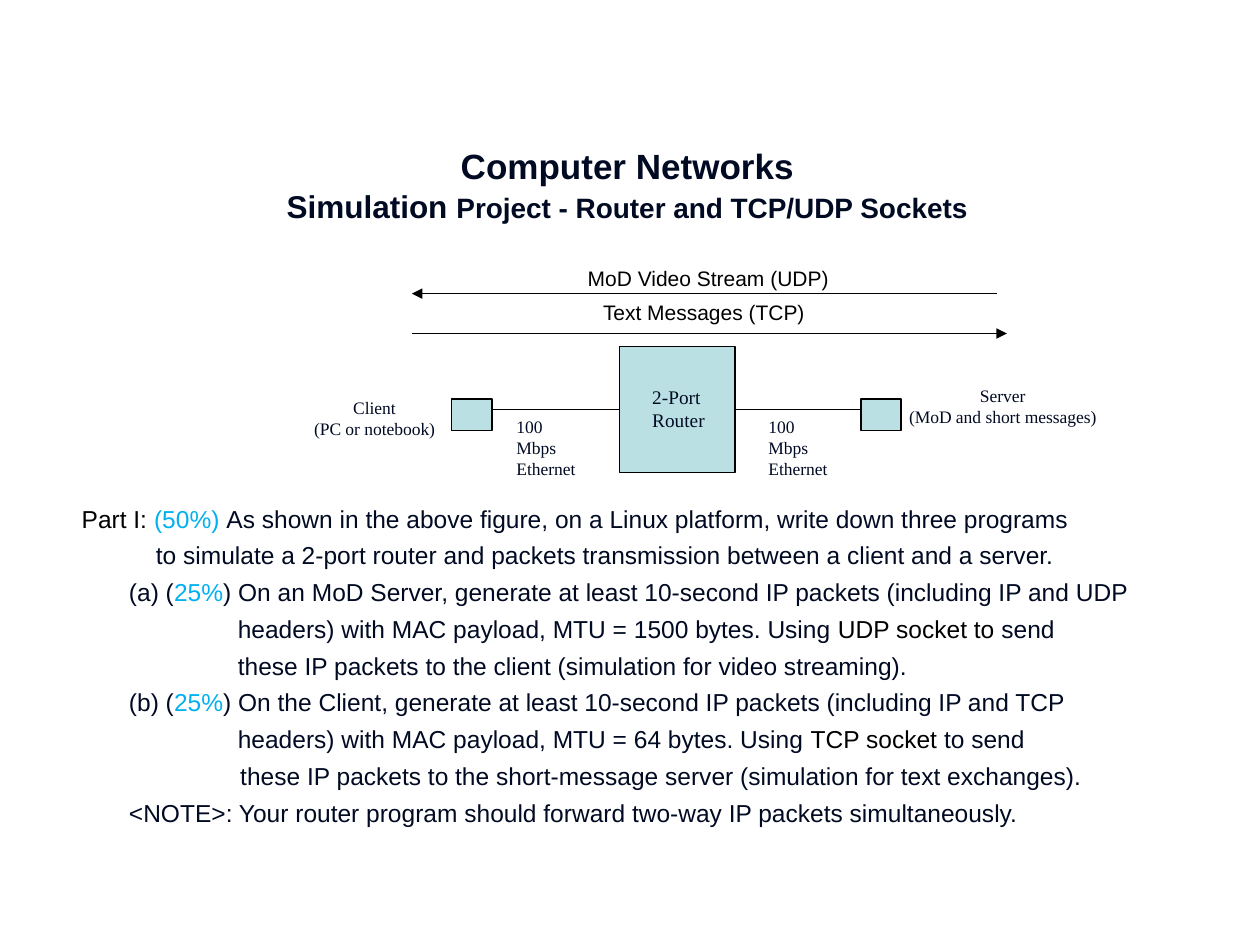
from dataclasses import dataclass

from lxml.etree import SubElement
from pptx import Presentation
from pptx.dml.color import RGBColor
from pptx.enum.shapes import MSO_CONNECTOR as Connector, MSO_SHAPE as Shape
from pptx.enum.text import MSO_ANCHOR as Anchor, MSO_AUTO_SIZE as AutoSize, PP_ALIGN as Align
from pptx.oxml.ns import qn
from pptx.util import Pt


@dataclass(frozen=True)
class Theme:
    ink: RGBColor = RGBColor(0x00, 0x0A, 0x22)
    black: RGBColor = RGBColor(0, 0, 0)
    accent: RGBColor = RGBColor(0x00, 0xB0, 0xF0)
    node: RGBColor = RGBColor(0xBB, 0xE0, 0xE3)
    sans: str = "Arial"
    serif: str = "Times New Roman"
    title: int = 20
    subtitle: int = 18
    subtitle_small: int = 16
    body: int = 14
    stream: int = 12
    router: int = 11
    label: int = 10
    line: int = 1


THEME = Theme()
SERIF_LABEL = {"name": THEME.serif, "size": Pt(THEME.label)}
STREAM_LABEL = {"name": THEME.sans, "size": Pt(THEME.stream)}
BODY = {"name": THEME.sans, "size": Pt(THEME.body)}

# Left indents of the body lines
PART, PART_TEXT, ITEM, ITEM_TEXT = 0, 42.4, 27, 89.2

BODY_LINES = [
    (PART, [("Part I: ", THEME.black), ("(50%) ", THEME.accent),
            ("As shown in the above figure, on a Linux platform, write down three programs", THEME.ink)]),
    (PART_TEXT, [("to simulate a 2-port router and packets transmission between a client and a server.", THEME.ink)]),
    (ITEM, [("(a) (", THEME.ink), ("25%", THEME.accent),
            (") On an MoD Server, generate at least 10-second IP packets (including IP and UDP", THEME.ink)]),
    (ITEM_TEXT, [("headers) with MAC payload, MTU = 1500 bytes. Using ", THEME.ink),
                 ("UDP socket to ", THEME.black), ("send", THEME.ink)]),
    (ITEM_TEXT, [("these IP packets to the client (simulation for video streaming).", THEME.ink)]),
    (ITEM, [("(b) (", THEME.ink), ("25%", THEME.accent),
            (") On the Client, generate at least 10-second IP packets (including IP and TCP", THEME.ink)]),
    (ITEM_TEXT, [("headers) with MAC payload, MTU = 64 bytes. Using ", THEME.ink),
                 ("TCP socket ", THEME.black), ("to send", THEME.ink)]),
    (ITEM_TEXT + 1.4, [("these IP packets to the short-message server (simulation for text exchanges).", THEME.ink)]),
    (ITEM, [("<NOTE>: Your router program should forward two-way IP packets simultaneously.", THEME.ink)]),
]


def set_format(target, values):
    for name, value in values.items():
        setattr(target, name, value)


def add_run(paragraph, text, font, color):
    run = paragraph.add_run()
    run.text = text
    set_format(run.font, font)
    run.font.color.rgb = color


def add_text_box(slide, box, wrap=True):
    shape = slide.shapes.add_textbox(*map(Pt, box))
    shape.text_frame.word_wrap = wrap
    return shape.text_frame


def add_lines(frame, lines, font, before=0, align=Align.LEFT):
    """Write one paragraph for each (indent, runs) line."""
    for index, (indent, runs) in enumerate(lines):
        paragraph = frame.add_paragraph() if index else frame.paragraphs[0]
        paragraph.alignment = align
        paragraph.space_before = Pt(before if index else 0)
        if indent:
            paragraph._p.get_or_add_pPr().set("marL", str(Pt(indent)))
        for text, color in runs:
            add_run(paragraph, text, font, color)


def add_label(slide, box, texts, font, color=THEME.ink, align=Align.LEFT, wrap=False):
    lines = [(0, [(text, color)]) for text in texts]
    add_lines(add_text_box(slide, box, wrap), lines, font, align=align)


def add_node(slide, box):
    shape = slide.shapes.add_shape(Shape.RECTANGLE, *map(Pt, box))
    shape.shadow.inherit = False
    shape.fill.solid()
    shape.fill.fore_color.rgb = THEME.node
    shape.line.color.rgb = THEME.black
    shape.line.width = Pt(THEME.line)
    return shape


def add_line(slide, start, end, arrow=False):
    line = slide.shapes.add_connector(Connector.STRAIGHT, *map(Pt, (*start, *end)))
    line.line.color.rgb = THEME.black
    line.line.width = Pt(THEME.line)
    if arrow:
        SubElement(line.line._get_or_add_ln(), qn("a:tailEnd"), type="triangle")
    SubElement(line._element.spPr, qn("a:effectLst"))
    return line


def add_title(slide):
    title = slide.shapes.title
    set_format(title, {"left": Pt(34.5), "top": Pt(60.5), "width": Pt(648), "height": Pt(90)})
    frame = title.text_frame
    set_format(frame, {"word_wrap": True, "auto_size": AutoSize.NONE, "vertical_anchor": Anchor.MIDDLE})
    paragraph = frame.paragraphs[0]
    paragraph.alignment = Align.CENTER
    parts = [("Computer Networks", THEME.title), ("Simulation ", THEME.subtitle),
             ("Project - Router and TCP/UDP Sockets", THEME.subtitle_small)]
    for index, (text, size) in enumerate(parts):
        if index == 1:
            paragraph.add_line_break()
        add_run(paragraph, text, {"name": THEME.sans, "size": Pt(size), "bold": True}, THEME.ink)


def add_streams(slide):
    add_label(slide, (328.8, 148.4, 152, 21.6), ["MoD Video Stream (UDP)"], STREAM_LABEL, THEME.black)
    add_line(slide, (569.5, 167.8), (235.4, 167.8), arrow=True)
    add_label(slide, (337.5, 167.8, 131, 21.6), ["Text Messages (TCP)"], STREAM_LABEL, THEME.black)
    add_line(slide, (235.4, 190.6), (575.3, 190.6), arrow=True)


def add_network(slide):
    # Router, client and server
    router = add_node(slide, (354, 198, 66, 72))
    for left in (258, 492):
        add_node(slide, (left, 228, 23, 18))
    add_label(slide, (365.6, 216.7, 54, 34), ["2-Port", "Router"],
              {"name": THEME.serif, "size": Pt(THEME.router)}, wrap=True)
    add_label(slide, (154, 223.2, 120, 31.7), ["Client", "(PC or notebook)"],
              SERIF_LABEL, align=Align.CENTER, wrap=True)
    add_label(slide, (504, 216.7, 138, 31.7), ["Server", "(MoD and short messages)"],
              SERIF_LABEL, align=Align.CENTER, wrap=True)

    # Links from the router sides
    for side, start, end, label_left in ((1, 354, 282, 288), (3, 420, 492, 432)):
        link = add_line(slide, (start, 234), (end, 234))
        link.begin_connect(router, side)
        add_label(slide, (label_left, 234, 54, 31.7), ["100 Mbps", "Ethernet"], SERIF_LABEL)


def main():
    presentation = Presentation()
    set_format(presentation, {"slide_width": Pt(720), "slide_height": Pt(540)})
    slide = presentation.slides.add_slide(presentation.slide_layouts[5])
    add_title(slide)
    add_streams(slide)
    add_network(slide)
    # Assignment text
    add_lines(add_text_box(slide, (39.6, 284.3, 647, 190)), BODY_LINES, BODY, before=4.2)
    presentation.save("out.pptx")


if __name__ == "__main__":
    main()
